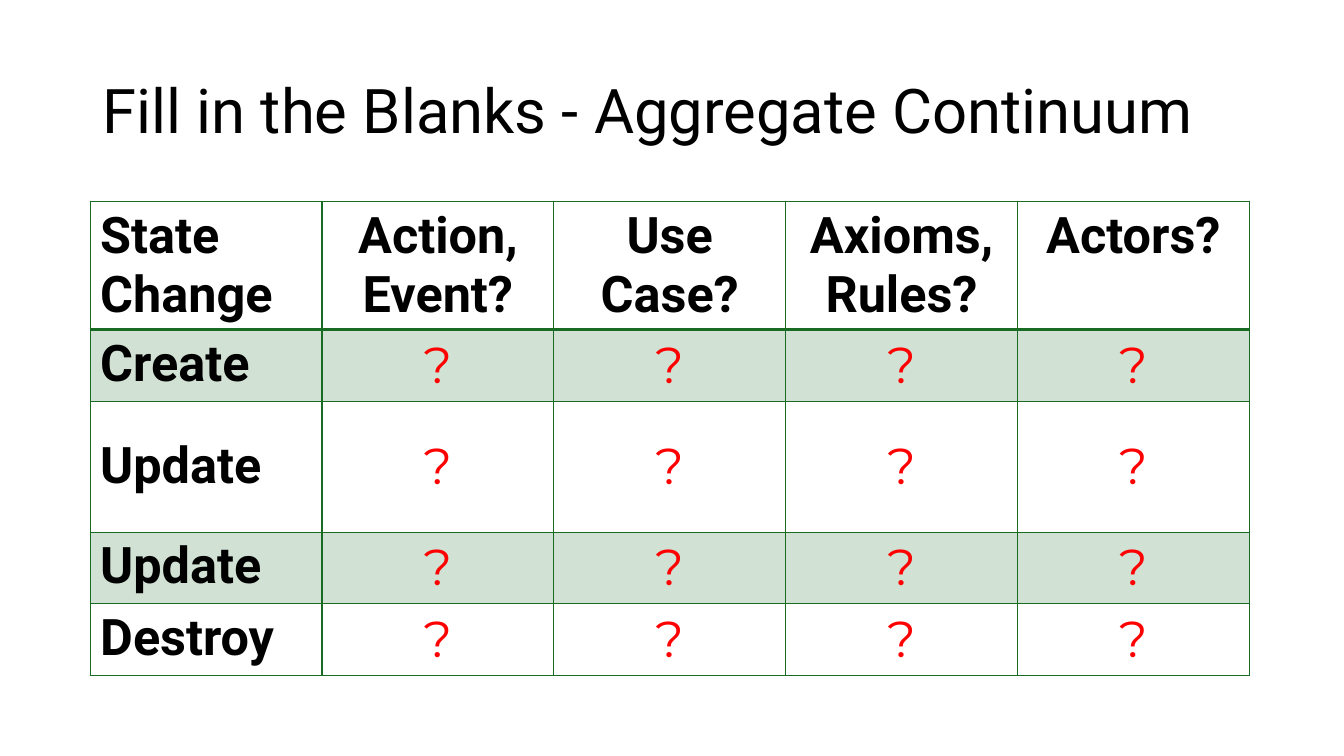
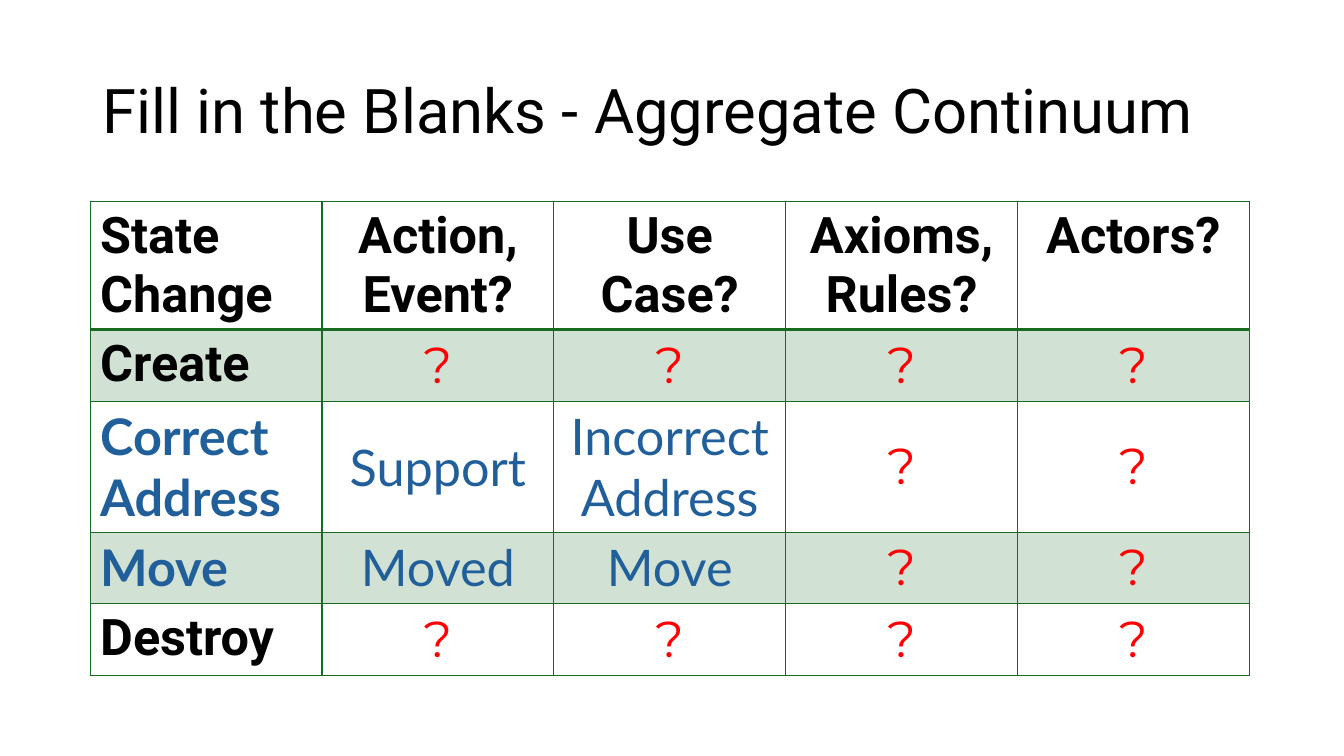
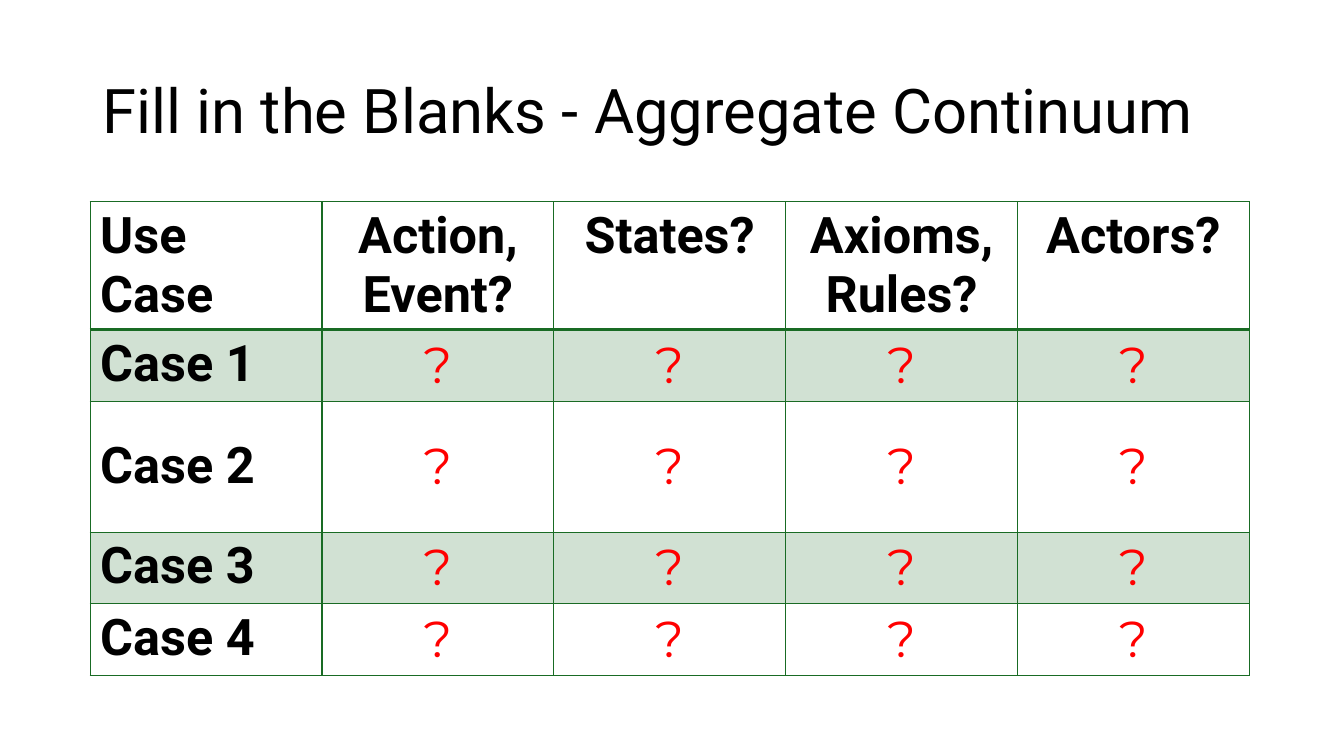
from dataclasses import dataclass

from lxml import etree
from pptx import Presentation
from pptx.dml.color import RGBColor
from pptx.enum.text import MSO_ANCHOR, PP_ALIGN
from pptx.oxml.ns import qn
from pptx.util import Pt

LEFT, CENTER = PP_ALIGN.LEFT, PP_ALIGN.CENTER
TOP, MIDDLE = MSO_ANCHOR.TOP, MSO_ANCHOR.MIDDLE

TITLE = "Fill in the Blanks - Aggregate Continuum"
BLANK = "?"
OPEN = (BLANK,) * 4
STATES = ("State Change", "Action, Event?", "Use Case?", "Axioms, Rules?", "Actors?")
CASES = ("Use Case", "Action, Event?", "States?", "Axioms, Rules?", "Actors?")

TABLES = [
    [STATES, ("Create", *OPEN), ("Update", *OPEN), ("Update", *OPEN), ("Destroy", *OPEN)],
    [
        STATES,
        ("Create", *OPEN),
        ("Correct Address", "Support", "Incorrect Address", BLANK, BLANK),
        ("Move", "Moved", "Move", BLANK, BLANK),
        ("Destroy", *OPEN),
    ],
    [CASES, *[(f"Case {n}", *OPEN) for n in range(1, 5)]],
]

SLIDE = (960, 540)
TITLE_BOX = (66, 28.8, 828, 104.4)
TABLE_AT = (64.4, 144)
COL = 165.6
ROWS = (91.4, 51, 93.6, 51.2, 51.2)
TALL = 2


@dataclass(frozen=True)
class Theme:
    line: str = "196B24"
    tint: int = 20
    title: int = 44
    cell: int = 36
    thin: int = 1
    thick: int = 2
    # Each text style is font, colour, bold
    label: tuple = ("Roboto", "000000", True)
    blank: tuple = ("Montserrat", "FF0000", False)
    reply: tuple = ("Lato", "215F9A", False)
    topic: tuple = ("Lato", "215F9A", True)
    head: tuple = ("Roboto", "000000", False)


THEME = Theme()


def style(par, look, size):
    face, color, bold = look
    font = par.font
    font.name, font.size, font.bold = face, Pt(size), bold
    font.color.rgb = RGBColor.from_string(color)


def choose(cells, row, col):
    """Text style of a cell; a row with any reply has a replied label too."""
    if row == 0:
        return THEME.label
    if col == 0:
        solved = any(text != BLANK for text in cells[1:])
        return THEME.topic if solved else THEME.label
    return THEME.blank if cells[col] == BLANK else THEME.reply


def border(cell, row):
    props = cell._tc.get_or_add_tcPr()
    for side in "LRTB":
        heavy = (row == 0 and side == "B") or (row == 1 and side == "T")
        width = Pt(THEME.thick if heavy else THEME.thin)
        line = etree.SubElement(props, qn(f"a:ln{side}"), w=str(width))
        fill = etree.SubElement(line, qn("a:solidFill"))
        etree.SubElement(fill, qn("a:srgbClr"), val=THEME.line)


def paint(cell, row):
    """Tint every second row and leave the others clear."""
    if row % 2 == 0:
        cell.fill.background()
        return
    cell.fill.solid()
    cell.fill.fore_color.rgb = RGBColor.from_string(THEME.line)
    color = cell._tc.tcPr.find(qn("a:solidFill")).find(qn("a:srgbClr"))
    etree.SubElement(color, qn("a:alpha"), val=str(THEME.tint * 1000))


def add_grid(slide, data):
    wide = len(data[0])
    size = (COL * wide, sum(ROWS))
    frame = slide.shapes.add_table(len(data), wide, *map(Pt, TABLE_AT + size))
    table = frame.table
    table.first_row = table.horz_banding = False
    for col in table.columns:
        col.width = Pt(COL)
    for row, cells in enumerate(data):
        table.rows[row].height = Pt(ROWS[row])
        for col, text in enumerate(cells):
            cell = table.cell(row, col)
            cell.text = text
            cell.vertical_anchor = MIDDLE if row == TALL else TOP
            par = cell.text_frame.paragraphs[0]
            par.alignment = CENTER if col else LEFT
            style(par, choose(cells, row, col), THEME.cell)
            border(cell, row)
            paint(cell, row)


def add_title(slide):
    title = slide.shapes.title
    title.text = TITLE
    title.text_frame.vertical_anchor = MIDDLE
    par = title.text_frame.paragraphs[0]
    par.alignment, par.line_spacing = LEFT, 0.9
    style(par, THEME.head, THEME.title)


def main():
    deck = Presentation()
    deck.slide_width, deck.slide_height = map(Pt, SLIDE)
    layout = deck.slide_layouts.get_by_name("Title Only")
    box = layout.placeholders[0]
    box.left, box.top, box.width, box.height = map(Pt, TITLE_BOX)
    for data in TABLES:
        slide = deck.slides.add_slide(layout)
        add_title(slide)
        add_grid(slide, data)
    deck.save("out.pptx")


if __name__ == "__main__":
    main()
